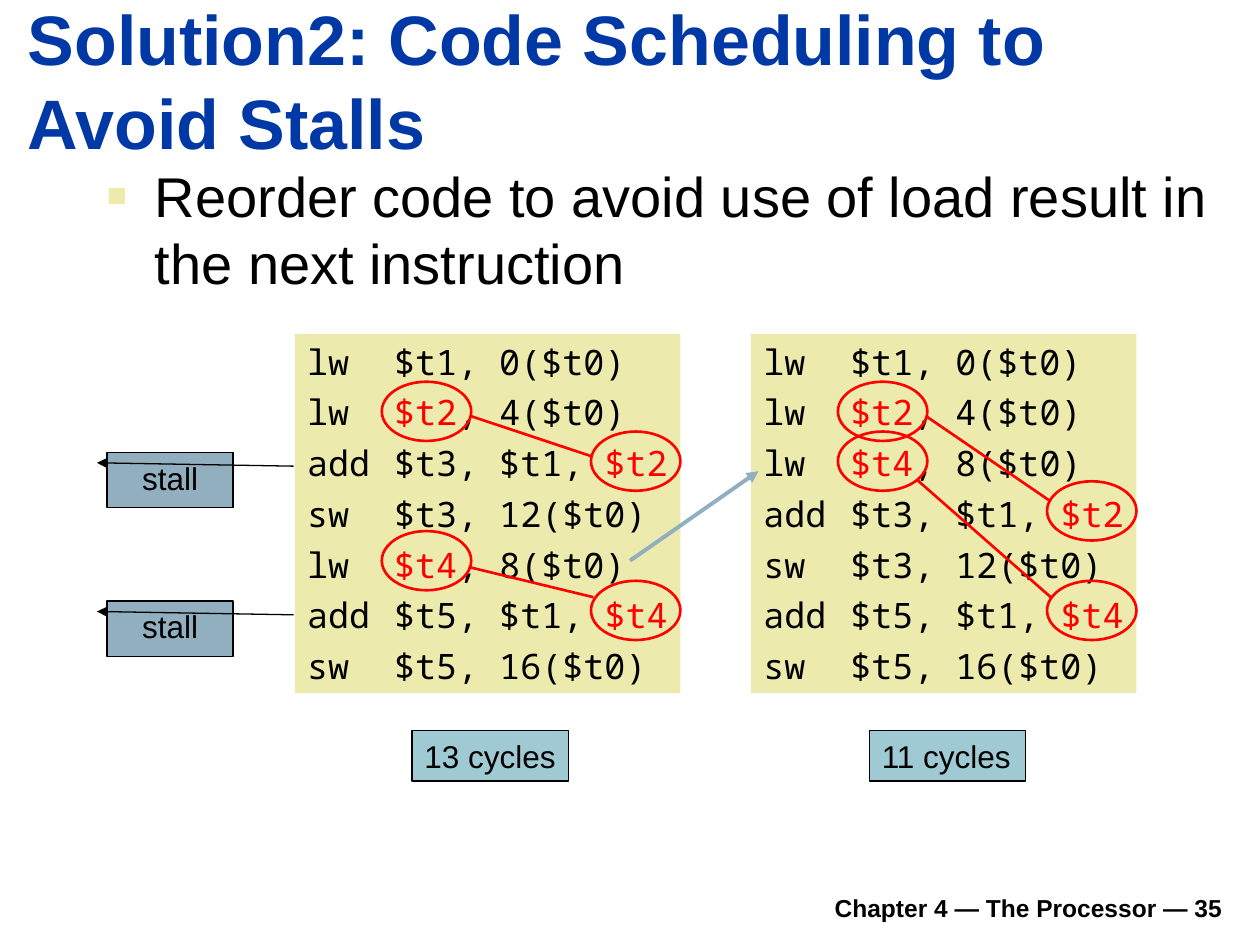
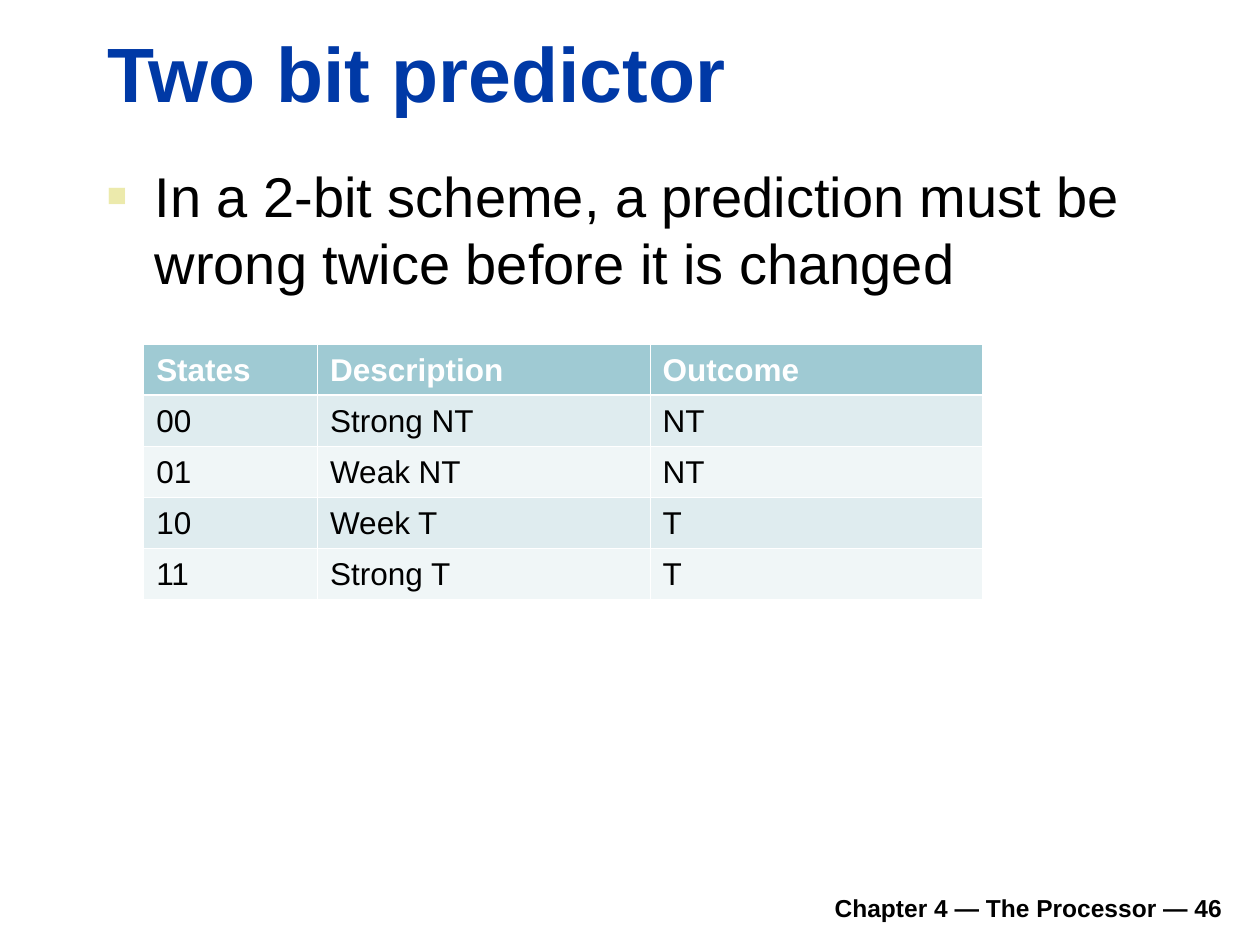
"""Build two slides on code scheduling and branch prediction."""
from lxml.etree import SubElement
from pptx import Presentation
from pptx.dml.color import RGBColor as Rgb
from pptx.enum.shapes import MSO_CONNECTOR as Link, MSO_SHAPE as Form
from pptx.enum.text import MSO_ANCHOR as Anchor, PP_ALIGN as Align
from pptx.oxml.ns import qn
from pptx.util import Inches, Pt

BLUE = Rgb(0x00, 0x39, 0xA6)
SAND = Rgb(0xEC, 0xEA, 0xAC)
STEEL = Rgb(0x91, 0xAF, 0xBF)
TEAL = Rgb(0x9F, 0xCA, 0xD3)
MIST = Rgb(0xDF, 0xEC, 0xEF)
PALE = Rgb(0xF0, 0xF6, 0xF7)
RED = Rgb(0xFF, 0, 0)
BLACK = Rgb(0, 0, 0)
WHITE = Rgb(0xFF, 0xFF, 0xFF)

FRAME = {"margin_left": Inches(0.1), "margin_right": Inches(0.1),
         "margin_top": Inches(0.05), "margin_bottom": Inches(0.05),
         "word_wrap": True, "vertical_anchor": Anchor.TOP}
TITLE = {"name": "Arial", "bold": True}
PLAIN = {"name": "Arial", "size": Pt(18), "bold": False}
BODY = PLAIN | {"size": Pt(32)}
FOOT = PLAIN | {"size": Pt(14), "bold": True}
CODE = PLAIN | {"name": "Noto Sans Mono", "size": Pt(20)}

OLD_LEFT, NEW_LEFT, CODE_TOP = 2.34, 5.96, 2.65
RING_TOP, RING_STEP = 3.03, 1.58 / 4
EARLY, LATE = 0.69, 2.35

OLD_CODE = ["lw\t$t1, 0($t0)", "lw\t|$t2|, 4($t0)", "add\t$t3, $t1, |$t2",
            "sw\t$t3, 12($t0)", "lw\t|$t4|, 8($t0)", "add\t$t5, $t1, |$t4",
            "sw\t$t5, 16($t0)"]
NEW_CODE = [OLD_CODE[i] for i in (0, 1, 4, 2, 3, 5, 6)]
OLD_RINGS = [(EARLY, 0), (LATE, 1), (EARLY, 3), (LATE, 4)]
NEW_RINGS = [(EARLY, 0), (LATE, 2), (LATE, 4), (EARLY, 1)]
LINKS = [(3.73, 3.3, 4.69, 3.62), (3.72, 4.5, 4.71, 4.74),
         (7.36, 3.31, 8.34, 3.98), (7.28, 3.81, 8.34, 4.74)]
STATES = [("States", "Description", "Outcome"), ("00", "Strong NT", "NT"),
          ("01", "Weak NT", "NT"), ("10", "Week T", "T"),
          ("11", "Strong T", "T")]


def apply(item, style):
    """Set each attribute that the style names."""
    for key, value in style.items():
        setattr(item, key, value)


def write(para, text, font, color=BLACK, align=Align.LEFT):
    """Write text in which parts between bars are red."""
    apply(para, {"alignment": align, "line_spacing": Pt(font["size"].pt * 1.2)})
    for i, part in enumerate(text.split("|")):
        run = para.add_run()
        run.text = part
        apply(run.font, font)
        run.font.color.rgb = RED if i % 2 else color


def place(box):
    """Turn inch values into lengths."""
    return [Inches(n) for n in box]


def add_text(slide, box, text, font, anchor=Anchor.TOP, align=Align.LEFT):
    """Add a text box with one paragraph and return the paragraph."""
    frame = slide.shapes.add_textbox(*place(box)).text_frame
    apply(frame, FRAME | {"vertical_anchor": anchor})
    write(frame.paragraphs[0], text, font, align=align)
    return frame.paragraphs[0]


def add_body(slide, box, text):
    """Add a paragraph with a square bullet."""
    para = add_text(slide, box, text, BODY)
    props = para._p.get_or_add_pPr()
    props.set("marL", str(Inches(0.38)))
    props.set("indent", str(-Inches(0.38)))
    tint = SubElement(props, qn("a:buClr"))
    SubElement(tint, qn("a:srgbClr"), val=str(SAND))
    SubElement(props, qn("a:buSzPct"), val="60000")
    SubElement(props, qn("a:buFont"), typeface="Arial")
    SubElement(props, qn("a:buChar"), char="■")


def add_page(deck, title, size, box, page):
    """Add a slide with its title and footer."""
    slide = deck.slides.add_slide(deck.slide_layouts[5])
    head = slide.shapes.title
    apply(head, dict(zip(("left", "top", "width", "height"), place(box))))
    apply(head.text_frame, FRAME | {"vertical_anchor": Anchor.BOTTOM})
    write(head.text_frame.paragraphs[0], title, TITLE | {"size": Pt(size)}, BLUE)
    add_text(slide, (1.85, 6.98, 7.95, 0.39), f"Chapter 4 — The Processor — {page}",
             FOOT, Anchor.BOTTOM, Align.RIGHT)
    return slide


def add_form(slide, form, box, fill=None, line=None, width=0.75):
    """Add a flat shape."""
    shape = slide.shapes.add_shape(form, *place(box))
    shape.shadow.inherit = False
    if fill is None:
        shape.fill.background()
    else:
        shape.fill.solid()
        shape.fill.fore_color.rgb = fill
    if line is None:
        shape.line.fill.background()
    else:
        shape.line.color.rgb = line
        shape.line.width = Pt(width)
    apply(shape.text_frame, FRAME)
    return shape


def add_code(slide, left, lines):
    """Add a panel of code with tab stops."""
    shape = add_form(slide, Form.RECTANGLE, (left, CODE_TOP, 3.06, 2.85), SAND)
    frame = shape.text_frame
    frame.word_wrap = False
    for i, line in enumerate(lines):
        para = frame.add_paragraph() if i else frame.paragraphs[0]
        if i:
            para.space_before = Pt(5)
        write(para, line, CODE)
        tabs = SubElement(para._p.get_or_add_pPr(), qn("a:tabLst"))
        SubElement(tabs, qn("a:tab"), pos=str(Inches(0.69)), algn="l")


def add_stall(slide, top):
    """Add a stall callout with an arrow."""
    shape = add_form(slide, Form.LINE_CALLOUT_1, (0.85, top, 1, 0.44), STEEL, BLACK)
    for i, value in enumerate((0.19, -0.08, 0.25, 1.48)):
        shape.adjustments[i] = value
    SubElement(shape.line._get_or_add_ln(), qn("a:headEnd"), type="triangle")
    write(shape.text_frame.paragraphs[0], "stall", PLAIN, align=Align.CENTER)


def add_count(slide, left, text):
    """Add a cycle count under a code panel."""
    shape = add_form(slide, Form.RECTANGLE, (left, 5.8, 1.24, 0.4), TEAL, BLACK)
    shape.text_frame.word_wrap = False
    write(shape.text_frame.paragraphs[0], text, PLAIN)


def add_line(slide, ends, color, width, arrow=False):
    """Add a straight line, with an arrowhead if asked."""
    line = slide.shapes.add_connector(Link.STRAIGHT, *place(ends))
    line.line.color.rgb = color
    line.line.width = Pt(width)
    if arrow:
        SubElement(line.line._get_or_add_ln(), qn("a:tailEnd"), type="triangle")
    SubElement(line._element.spPr, qn("a:effectLst"))


def edge(cell, side, width):
    """Draw one white cell border."""
    line = SubElement(cell._tc.get_or_add_tcPr(), qn(f"a:ln{side}"), w=str(Pt(width)))
    SubElement(SubElement(line, qn("a:solidFill")), qn("a:srgbClr"), val=str(WHITE))


def add_states(slide):
    """Add the table of predictor states."""
    box = place((1.14, 2.73, 6.66, 2.03))
    table = slide.shapes.add_table(len(STATES), 3, *box).table
    for col, width in zip(table.columns, (1.38, 2.64, 2.64)):
        col.width = Inches(width)
    for i, row in enumerate(STATES):
        for j, text in enumerate(row):
            cell = table.cell(i, j)
            for side in "LRTB":
                thick = (i, side) in ((0, "B"), (1, "T"))
                edge(cell, side, 1.47 if thick else 0.45)
            cell.fill.solid()
            cell.fill.fore_color.rgb = (MIST if i % 2 else PALE) if i else TEAL
            write(cell.text_frame.paragraphs[0], text, PLAIN | {"bold": i == 0},
                  BLACK if i else WHITE)


def main():
    """Build and save the deck."""
    deck = Presentation()
    deck.slide_width, deck.slide_height = Inches(10), Inches(7.5)

    slide = add_page(deck, "Solution2: Code Scheduling to Avoid Stalls", 40,
                     (0.12, -0.1, 9.66, 1.45), 35)
    add_body(slide, (0.75, 1.23, 9.04, 2.02),
             "Reorder code to avoid use of load result in the next instruction")
    add_code(slide, OLD_LEFT, OLD_CODE)
    for top in (3.59, 4.77):
        add_stall(slide, top)
    add_code(slide, NEW_LEFT, NEW_CODE)
    add_line(slide, (5, 4.45, 6.02, 3.74), STEEL, 2.25, arrow=True)
    for left, rings in ((OLD_LEFT, OLD_RINGS), (NEW_LEFT, NEW_RINGS)):
        for shift, row in rings:
            box = (left + shift, RING_TOP + RING_STEP * row, 0.71, 0.47)
            add_form(slide, Form.OVAL, box, line=RED, width=1.5)
    for ends in LINKS:
        add_line(slide, ends, RED, 1.5)
    add_count(slide, 6.9, "11 cycles")
    add_count(slide, 3.27, "13 cycles")

    slide = add_page(deck, "Two bit predictor", 44, (0.75, 0.16, 9.03, 0.83), 46)
    add_body(slide, (0.75, 1.23, 9.04, 5.59),
             "In a 2-bit scheme, a prediction must be wrong twice before it is changed")
    add_states(slide)
    deck.save("out.pptx")


if __name__ == "__main__":
    main()
